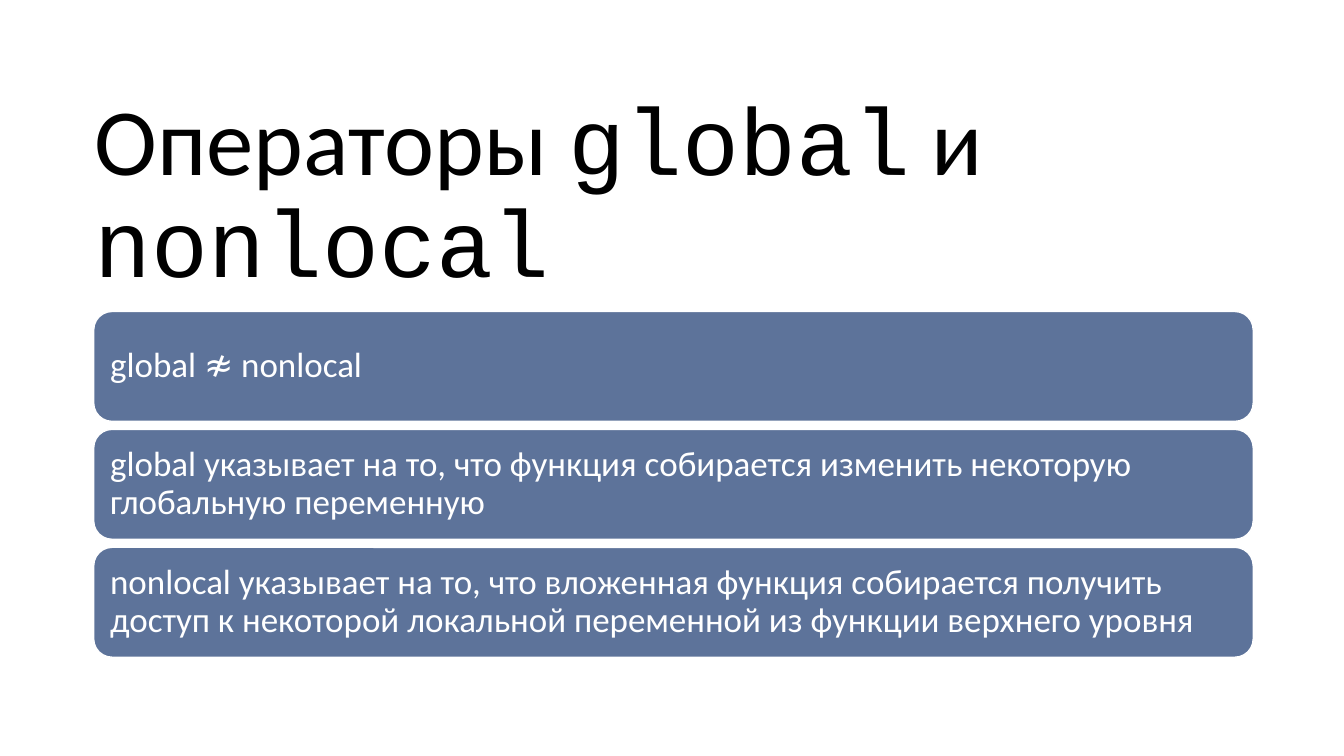
from pptx import Presentation
from pptx.dml.color import RGBColor
from pptx.enum.shapes import MSO_SHAPE
from pptx.enum.text import MSO_ANCHOR, MSO_AUTO_SIZE, PP_ALIGN
from pptx.util import Emu, Pt

TITLE = [
    ("Операторы ", "Calibri"),
    ("global", "Courier New"),
    (" и ", "Calibri"),
    ("nonlocal", "Courier New"),
]
RULES = [
    "global ≉ nonlocal",
    "global указывает на то, что функция собирается изменить некоторую глобальную переменную",
    "nonlocal указывает на то, что вложенная функция собирается получить "
    "доступ к некоторой локальной переменной из функции верхнего уровня",
]
TITLE_BOX = (94, 122, 1150, 145)
CARD_LEFT, CARD_TOP, CARD_W, CARD_H, CARD_STEP = 93, 309, 1150, 109, 117
ROUND_RECT = MSO_SHAPE.ROUNDED_RECTANGLE
MIDDLE, LEFT, NO_FIT = MSO_ANCHOR.MIDDLE, PP_ALIGN.LEFT, MSO_AUTO_SIZE.NONE


def px(n):
    return Emu(n * 9144)


def rgb(value):
    return RGBColor.from_string(value)


def set_attrs(obj, **values):
    for name, value in values.items():
        setattr(obj, name, value)


def write(sp, runs, size, color, inset_x, inset_y):
    tf = sp.text_frame
    set_attrs(tf, word_wrap=True, auto_size=NO_FIT, vertical_anchor=MIDDLE,
              margin_left=px(inset_x), margin_right=px(inset_x),
              margin_top=px(inset_y), margin_bottom=px(inset_y))
    p = tf.paragraphs[0]
    set_attrs(p, alignment=LEFT, line_spacing=0.9)
    for text, font in runs:
        r = p.add_run()
        r.text = text
        set_attrs(r.font, name=font, size=Pt(size))
        r.font.color.rgb = rgb(color)


prs = Presentation()
set_attrs(prs, slide_width=px(1333), slide_height=px(750))
s = prs.slides.add_slide(prs.slide_layouts[5])

title = s.shapes.title
left, top, width, height = map(px, TITLE_BOX)
set_attrs(title, left=left, top=top, width=width, height=height)
write(title, TITLE, 67.7, "000000", 0, 0)

for i, rule in enumerate(RULES):
    box = (CARD_LEFT, CARD_TOP + i * CARD_STEP, CARD_W, CARD_H)
    sp = s.shapes.add_shape(ROUND_RECT, *map(px, box))
    sp.shadow.inherit = False
    sp.fill.solid()
    sp.fill.fore_color.rgb = rgb("5D739A")
    sp.line.color.rgb = rgb("FFFFFF")
    sp.line.width = Pt(1)
    write(sp, [(rule, "Calibri")], 25, "FFFFFF", 11, 10)

prs.save("out.pptx")
